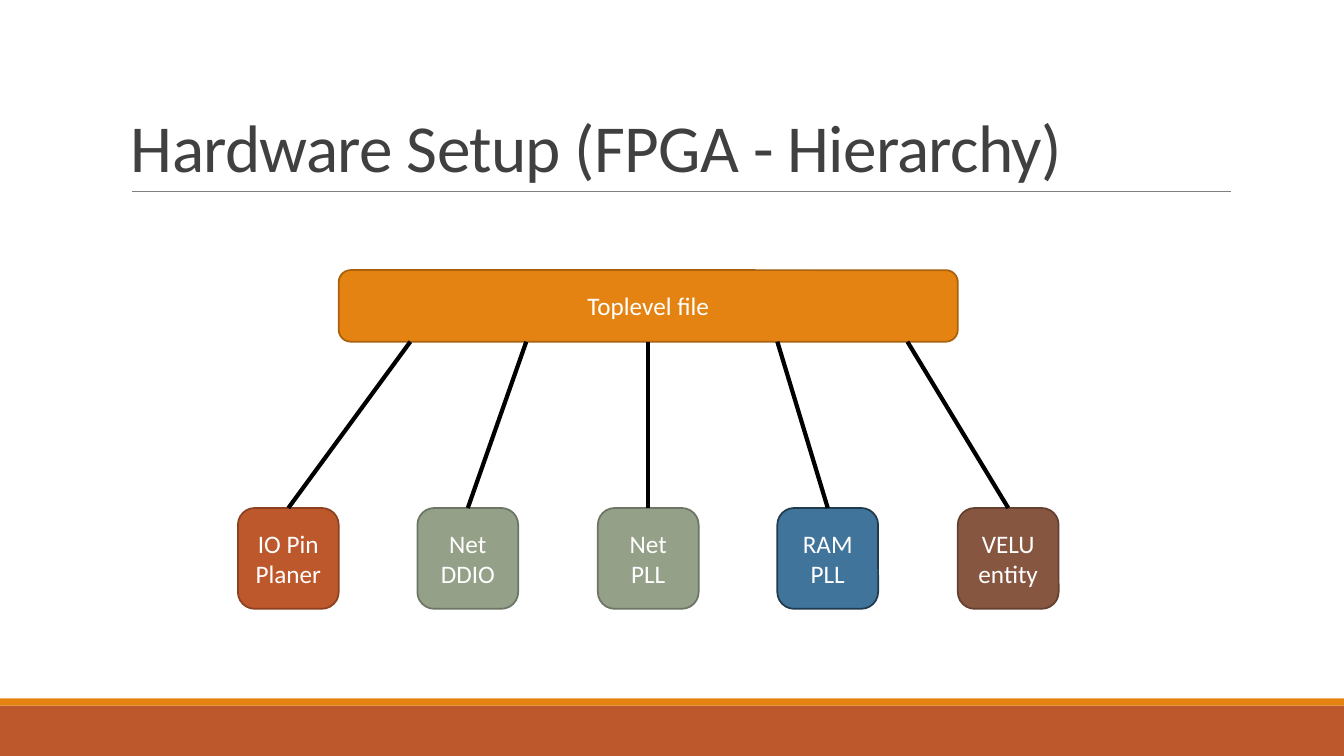
from dataclasses import dataclass

from lxml import etree
from pptx import Presentation
from pptx.dml.color import RGBColor
from pptx.enum.shapes import MSO_CONNECTOR, MSO_SHAPE
from pptx.enum.text import MSO_ANCHOR, PP_ALIGN
from pptx.oxml.ns import qn
from pptx.shapes.autoshape import Shape
from pptx.slide import Slide
from pptx.util import Pt

PX = 9144
SLIDE_WIDTH, SLIDE_HEIGHT = 1333, 750
FONT = "Calibri"
RECTANGLE = MSO_SHAPE.RECTANGLE
ROUNDED = MSO_SHAPE.ROUNDED_RECTANGLE
STRAIGHT = MSO_CONNECTOR.STRAIGHT
BOTTOM, MIDDLE = MSO_ANCHOR.BOTTOM, MSO_ANCHOR.MIDDLE
LEFT, CENTER = PP_ALIGN.LEFT, PP_ALIGN.CENTER

TOP_LEFT, TOP_Y, TOP_WIDTH, TOP_HEIGHT = 336, 268, 614, 71
MODULE_LEFT, MODULE_Y, MODULE_SIZE = 236, 504, 100
TWO_MODULE_PITCHES = 357


@dataclass(frozen=True)
class Module:
    lines: tuple[str, ...]
    fill: str
    outline: str
    branch_x: int


MODULES = (
    Module(("IO Pin", "Planer"), "BD582C", "8C4121", 407),
    Module(("Net", "DDIO"), "94A088", "6D7665", 522),
    Module(("Net", "PLL"), "94A088", "6D7665", 643),
    Module(("RAM", "PLL"), "40749B", "203A4E", 771),
    Module(("VELU", "entity"), "865640", "63402F", 900),
)


def color(value: str) -> RGBColor:
    return RGBColor.from_string(value)


def add_text(box: Shape, lines: tuple[str, ...], size: int, ink: str,
             align: PP_ALIGN, anchor: MSO_ANCHOR) -> None:
    frame = box.text_frame
    frame.word_wrap = True
    frame.vertical_anchor = anchor
    for index, line in enumerate(lines):
        para = frame.add_paragraph() if index else frame.paragraphs[0]
        para.alignment = align
        span = para.add_run()
        span.text = line
        span.font.name = FONT
        span.font.size = Pt(size)
        span.font.color.rgb = color(ink)


def add_box(page: Slide, kind: MSO_SHAPE, left: int, top: int, width: int,
            height: int, fill: str, outline: str | None = None) -> Shape:
    box = page.shapes.add_shape(kind, left * PX, top * PX, width * PX, height * PX)
    box.shadow.inherit = False
    box.fill.solid()
    box.fill.fore_color.rgb = color(fill)
    if outline is None:
        box.line.fill.background()
    else:
        box.line.color.rgb = color(outline)
        box.line.width = Pt(1.25)
    return box


def add_line(page: Slide, start: tuple[int, int], end: tuple[int, int],
             ink: str, weight: float) -> None:
    line = page.shapes.add_connector(
        STRAIGHT, start[0] * PX, start[1] * PX, end[0] * PX, end[1] * PX)
    line.line.color.rgb = color(ink)
    line.line.width = Pt(weight)
    etree.SubElement(line._element.spPr, qn("a:effectLst"))


def add_title(page: Slide, text: str) -> None:
    box = page.shapes.add_textbox(120 * PX, 31 * PX, 1100 * PX, 159 * PX)
    add_text(box, (text,), 48, "404040", LEFT, BOTTOM)
    para = box.text_frame.paragraphs[0]
    para.line_spacing = 0.85
    para.runs[0].font._element.set("spc", "-50")


def add_hierarchy(page: Slide) -> None:
    toplevel = add_box(page, ROUNDED, TOP_LEFT, TOP_Y, TOP_WIDTH, TOP_HEIGHT,
                       "E48312", "A9610D")
    add_text(toplevel, ("Toplevel file",), 18, "FFFFFF", CENTER, MIDDLE)
    for index, module in enumerate(MODULES):
        left = MODULE_LEFT + index * TWO_MODULE_PITCHES // 2
        box = add_box(page, ROUNDED, left, MODULE_Y, MODULE_SIZE, MODULE_SIZE,
                      module.fill, module.outline)
        add_text(box, module.lines, 18, "FFFFFF", CENTER, MIDDLE)
        add_line(page, (left + MODULE_SIZE // 2, MODULE_Y),
                 (module.branch_x, TOP_Y + TOP_HEIGHT), "000000", 3)


def main() -> None:
    deck = Presentation()
    deck.slide_width = SLIDE_WIDTH * PX
    deck.slide_height = SLIDE_HEIGHT * PX
    page = deck.slides.add_slide(deck.slide_layouts[6])
    add_box(page, RECTANGLE, 0, 700, SLIDE_WIDTH, 50, "BD582C")
    add_box(page, RECTANGLE, 0, 693, SLIDE_WIDTH, 7, "E48312")
    add_line(page, (131, 190), (1221, 190), "808080", 0.5)
    add_title(page, "Hardware Setup (FPGA - Hierarchy)")
    add_hierarchy(page)
    deck.save("out.pptx")


if __name__ == "__main__":
    main()
